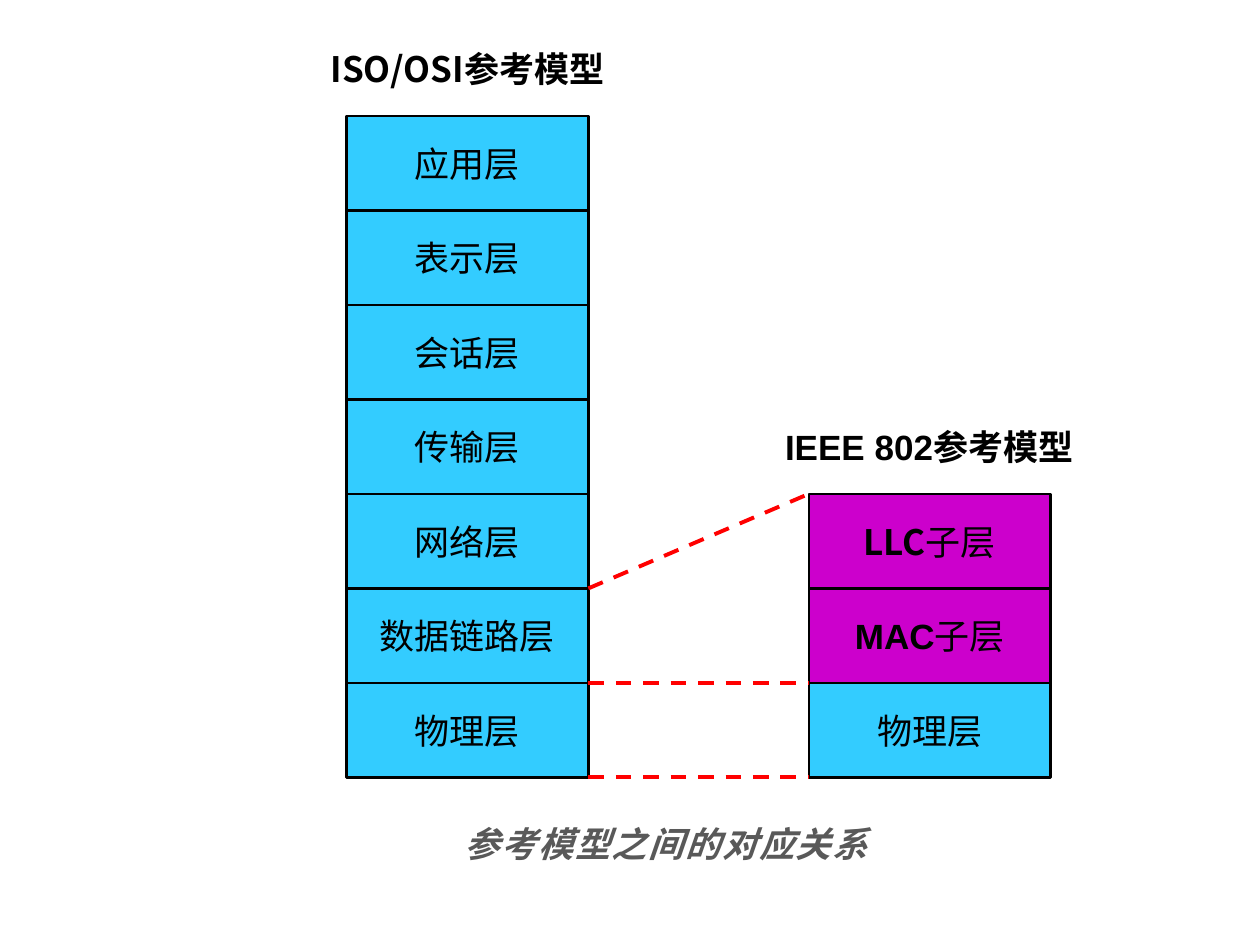
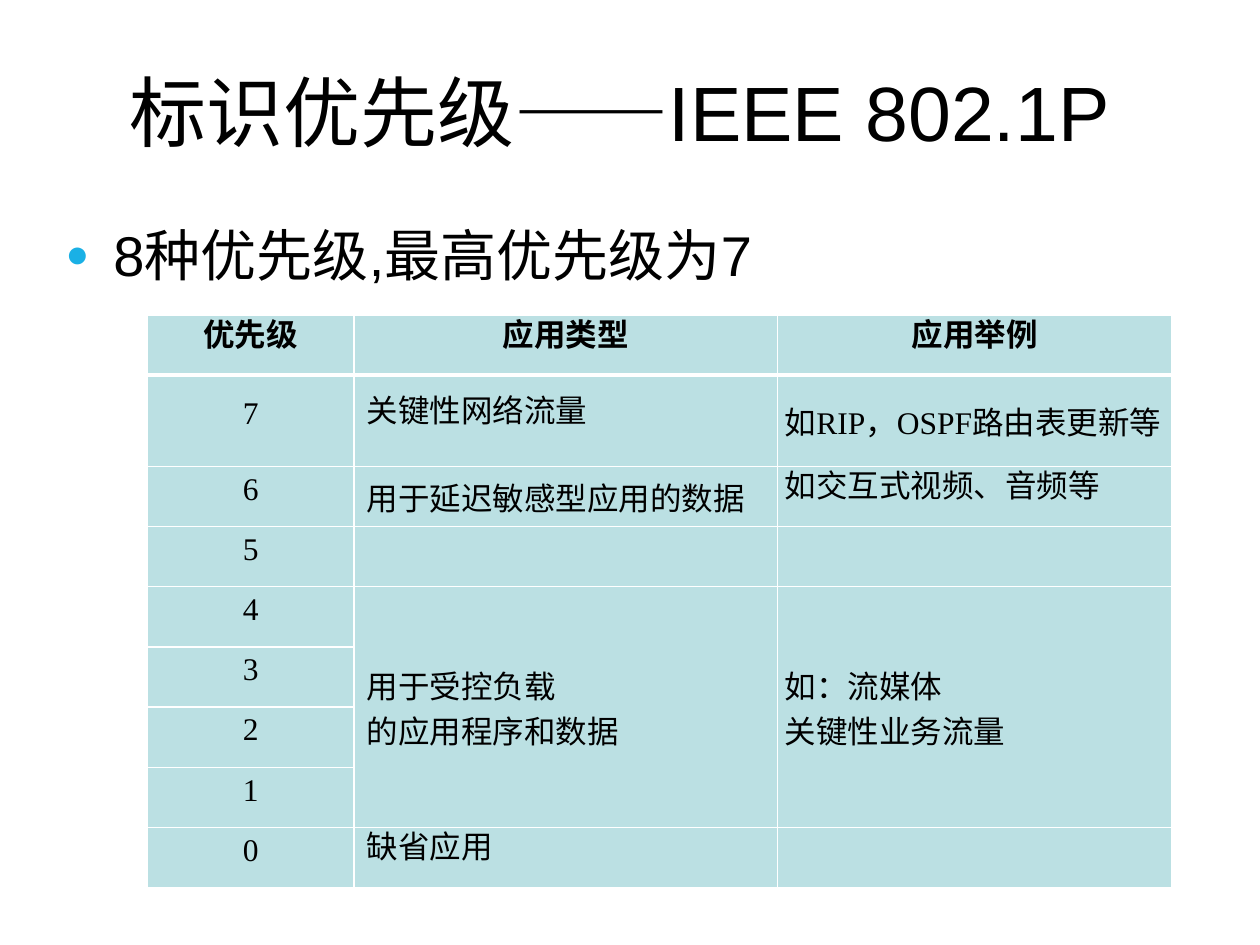
import pptx
import pptx.util
import pptx.dml.color
import pptx.enum.dml
import pptx.enum.shapes
import pptx.enum.text
import pptx.oxml.ns
import lxml.etree

Inches = pptx.util.Inches
Pt = pptx.util.Pt
RGB = pptx.dml.color.RGBColor
ALIGN = pptx.enum.text.PP_ALIGN
ANCHOR = pptx.enum.text.MSO_ANCHOR
SHAPE = pptx.enum.shapes.MSO_SHAPE
LINE = pptx.enum.shapes.MSO_CONNECTOR
DASH = pptx.enum.dml.MSO_LINE
qn = pptx.oxml.ns.qn

BLACK = RGB(0x00, 0x00, 0x00)
WHITE = RGB(0xFF, 0xFF, 0xFF)
SKY = RGB(0x33, 0xCC, 0xFF)
PLUM = RGB(0xCC, 0x00, 0xCC)
RED = RGB(0xFF, 0x00, 0x00)
GRAY = RGB(0x59, 0x59, 0x59)
TEAL = RGB(0xBB, 0xE0, 0xE3)
DOT = RGB(0x1A, 0xB0, 0xE5)

CJK = "Noto Sans CJK SC"
BASE = {"name": "Arial", "size": Pt(20), "bold": False}
STRONG = {"bold": True}
LAYER_W, LAYER_H = 1.92, 0.75

OSI = [[(name, {})] for name in (
    "应用层", "表示层", "会话层", "传输层", "网络层", "数据链路层", "物理层")]
IEEE = [
    [("LLC", {"bold": True, "name": CJK}), ("子层", {"name": CJK})],
    [("MAC", STRONG), ("子层", {})],
    [("物理层", {})],
]

COLS = (1.64, 3.36, 3.13)
INDENTS = (0, 0.1, 0.06)
ROWS = [
    ("优先级", "应用类型", "应用举例"),
    ("7", "关键性网络流量", "如RIP，OSPF路由表更新等"),
    ("6", "用于延迟敏感型应用的数据", "如交互式视频、音频等"),
    ("5", "", ""),
    ("4", "用于受控负载\n的应用程序和数据", "如：流媒体\n关键性业务流量"),
    ("3", "", ""),
    ("2", "", ""),
    ("1", "", ""),
    ("0", "缺省应用", ""),
]
ROOMY = {(1, 2), (2, 1), (4, 1), (4, 2)}


def add(parent, tag, **attrs):
    return lxml.etree.SubElement(parent, qn(tag), attrs)


def write(para, parts, align=ALIGN.CENTER, color=BLACK, **extra):
    para.alignment = align
    for text, own in parts:
        run = para.add_run()
        run.text = text
        for key, value in {**BASE, **extra, **own}.items():
            setattr(run.font, key, value)
        run.font.color.rgb = color
        add(run.font._element, "a:ea", typeface=CJK)


def place(shape, box):
    for key, value in zip(("left", "top", "width", "height"), box):
        setattr(shape, key, Inches(value))


def stack(slide, left, top, layers, fills):
    for i, (parts, fill) in enumerate(zip(layers, fills)):
        rect = slide.shapes.add_shape(
            SHAPE.RECTANGLE, Inches(left), Inches(top + i * LAYER_H),
            Inches(LAYER_W), Inches(LAYER_H))
        rect.shadow.inherit = False
        rect.fill.solid()
        rect.fill.fore_color.rgb = fill
        rect.line.color.rgb = BLACK
        rect.line.width = Pt(1.5)
        frame = rect.text_frame
        frame.word_wrap = False
        frame.vertical_anchor = ANCHOR.MIDDLE
        write(frame.paragraphs[0], parts)


def label(slide, box, text, wrap=True, **fmt):
    frame = slide.shapes.add_textbox(*map(Inches, box)).text_frame
    frame.word_wrap = wrap
    write(frame.paragraphs[0], [(text, STRONG)], **fmt)
    return frame.paragraphs[0].runs[0]


def link(slide, start, end):
    line = slide.shapes.add_connector(
        LINE.STRAIGHT, *map(Inches, (*start, *end)))
    line.line.color.rgb = RED
    line.line.width = Pt(2.25)
    line.line.dash_style = DASH.DASH
    add(line._element.spPr, "a:effectLst")


def models(deck):
    slide = deck.slides.add_slide(deck.slide_layouts[6])
    left, top, right = 2.75, 0.92, 6.42
    sub = top + 4 * LAYER_H
    stack(slide, left, top, OSI, [SKY] * len(OSI))
    stack(slide, right, sub, IEEE, [PLUM, PLUM, SKY])
    for a, b in ((5, 4), (6, 6), (7, 7)):
        link(slide, (left + LAYER_W, top + a * LAYER_H),
             (right, top + b * LAYER_H))
    label(slide, (2.17, 0.33, 3.08, 0.43), "ISO/OSI参考模型", name=CJK)
    label(slide, (6, 3.33, 2.75, 0.43), "IEEE 802参考模型")
    note = label(slide, (3.59, 6.48, 3.46, 0.44), "参考模型之间的对应关系",
                 wrap=False, align=ALIGN.LEFT, color=GRAY, italic=True)
    note.font._element.set("spc", "100")


def bullet(para, gap):
    props = para._p.get_or_add_pPr()
    props.set("marL", str(Inches(gap)))
    props.set("indent", str(-Inches(gap)))
    add(add(props, "a:buClr"), "a:srgbClr", val=str(DOT))
    add(props, "a:buSzPct", val="70000")
    add(props, "a:buFont", typeface="Arial")
    add(props, "a:buChar", char="●")


def border(cell, row):
    props = cell._tc.get_or_add_tcPr()
    widths = {"L": 1, "R": 1, "T": 3 if row == 1 else 1,
              "B": 3 if row == 0 else 1}
    for i, (side, width) in enumerate(widths.items()):
        line = lxml.etree.Element(qn("a:ln" + side), {"w": str(Pt(width))})
        add(add(line, "a:solidFill"), "a:srgbClr", val=str(WHITE))
        props.insert(i, line)


def fill_cell(cell, row, col, text):
    for side in ("left", "right", "top", "bottom"):
        setattr(cell, "margin_" + side, 0)
    cell.vertical_anchor = ANCHOR.MIDDLE
    cell.fill.solid()
    cell.fill.fore_color.rgb = TEAL
    border(cell, row)
    if not text:
        return
    middle = row == 0 or col == 0
    for i, part in enumerate(text.split("\n")):
        frame = cell.text_frame
        para = frame.add_paragraph() if i else frame.paragraphs[0]
        if (row, col) not in ROOMY:
            para.line_spacing = Pt(12)
        if not middle:
            para._p.get_or_add_pPr().set("indent", str(Inches(INDENTS[col])))
        write(para, [(part, {})], ALIGN.CENTER if middle else ALIGN.LEFT,
              name="Times New Roman", size=Pt(18), bold=row == 0)


def grid(slide, box):
    table = slide.shapes.add_table(
        len(ROWS), len(COLS), *map(Inches, box)).table
    table.first_row = table.horz_banding = False
    for col, width in zip(table.columns, COLS):
        col.width = Inches(width)
    for r, texts in enumerate(ROWS):
        for c, text in enumerate(texts):
            fill_cell(table.cell(r, c), r, c, text)
    for c in (1, 2):
        table.cell(4, c).merge(table.cell(7, c))


def ranks(deck):
    slide = deck.slides.add_slide(deck.slide_layouts[1])
    title, body = slide.placeholders
    place(title, (0.42, 0.25, 9, 1.25))
    title.text_frame.vertical_anchor = ANCHOR.MIDDLE
    write(title.text_frame.paragraphs[0],
          [("标识优先级——IEEE 802.1P", {})], size=Pt(44))
    place(body, (0.42, 1.7, 9, 4.95))
    para = body.text_frame.paragraphs[0]
    para.space_before = Pt(0)
    bullet(para, 0.38)
    write(para, [("8种优先级,最高优先级为7", {})], ALIGN.LEFT, size=Pt(32))
    grid(slide, (1.17, 2.5, sum(COLS), 4.3))


def main():
    deck = pptx.Presentation()
    deck.slide_width, deck.slide_height = Inches(10), Inches(7.5)
    models(deck)
    ranks(deck)
    deck.save("out.pptx")


if __name__ == "__main__":
    main()
